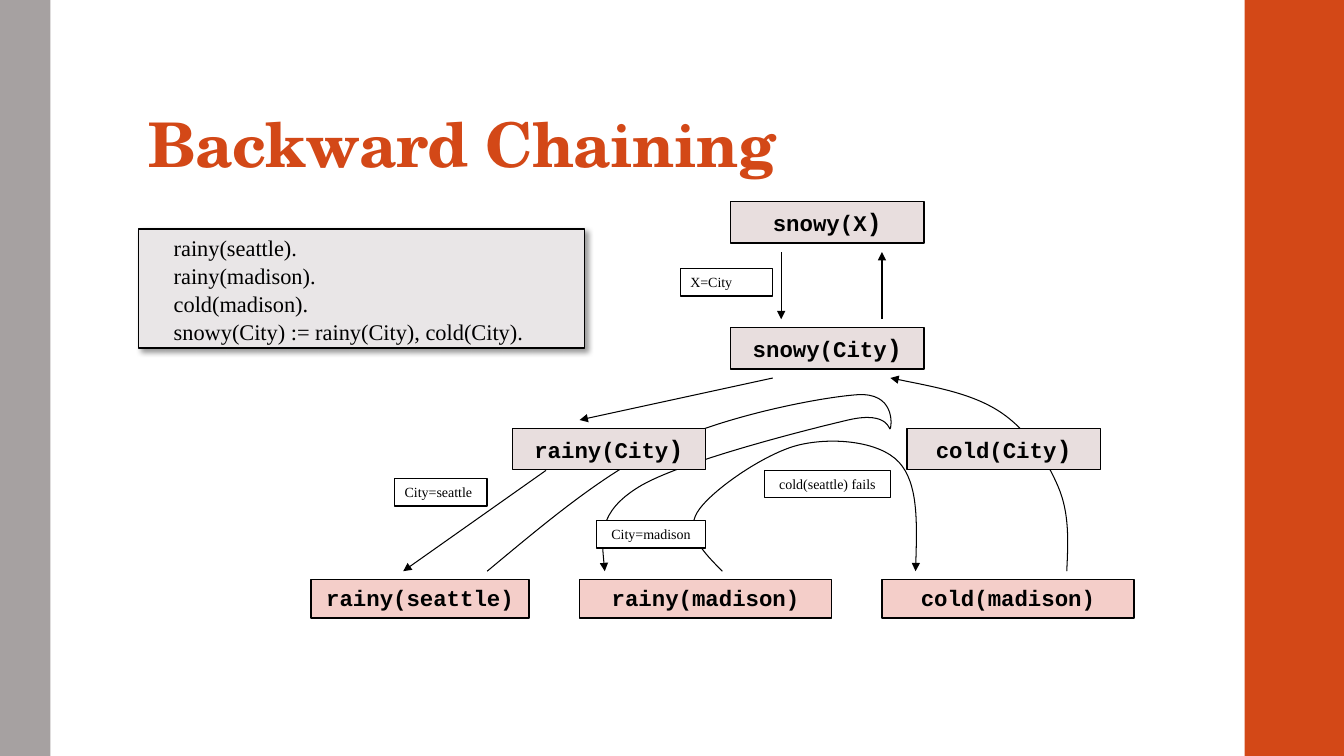
from dataclasses import dataclass

from lxml.etree import SubElement
from pptx import Presentation
from pptx.dml.color import RGBColor
from pptx.enum.shapes import MSO_CONNECTOR, MSO_SHAPE
from pptx.enum.text import MSO_ANCHOR, MSO_AUTO_SIZE, PP_ALIGN
from pptx.oxml.ns import qn
from pptx.util import Pt


@dataclass(frozen=True)
class Theme:
    accent: str = "D34817"
    side: str = "A6A1A1"
    ink: str = "000000"
    paper: str = "FFFFFF"
    goal: str = "E8DEDE"
    fact: str = "F4CEC9"
    rules: str = "E9E6E7"
    heading: str = "TeX Gyre Schola"
    serif: str = "Times New Roman"
    mono: str = "Courier New"
    title_size: int = 44
    paren_size: int = 18
    body_size: int = 16
    label_size: int = 10


theme = Theme()


def write(para, text, font, size, color=theme.ink, bold=False, align=PP_ALIGN.CENTER):
    para.alignment = align
    span = para.add_run()
    span.text = text
    span.font.name = font
    span.font.size = Pt(size)
    span.font.bold = bold
    span.font.color.rgb = RGBColor.from_string(color)
    return span


def add_box(left, top, width, height, fill, outlined=True):
    box = page.shapes.add_shape(
        MSO_SHAPE.RECTANGLE, Pt(left), Pt(top), Pt(width), Pt(height))
    box.shadow.inherit = False
    box.fill.solid()
    box.fill.fore_color.rgb = RGBColor.from_string(fill)
    if outlined:
        box.line.color.rgb = RGBColor.from_string(theme.ink)
        box.line.width = Pt(1)
    else:
        box.line.fill.background()
    box.text_frame.vertical_anchor = MSO_ANCHOR.TOP
    box.text_frame.word_wrap = True
    return box


deck = Presentation()
deck.slide_width, deck.slide_height = Pt(960), Pt(540)
page = deck.slides.add_slide(deck.slide_layouts[5])

# Side bands
add_box(889, 0, 71, 540, theme.accent, outlined=False)
add_box(0, 0, 36, 540, theme.side, outlined=False)

# Title
title = page.shapes.title
title.left, title.top, title.width, title.height = Pt(99), Pt(23), Pt(763), Pt(110)
frame = title.text_frame
frame.auto_size = MSO_AUTO_SIZE.NONE
frame.vertical_anchor = MSO_ANCHOR.BOTTOM
frame.margin_top = Pt(2)
para = frame.paragraphs[0]
para.line_spacing = 0.9
span = write(para, "Backward Chaining", theme.heading, theme.title_size,
             color=theme.accent, bold=True, align=PP_ALIGN.LEFT)
span.font._element.set("spc", "-50")

# Knowledge base with its drop shadow
rules = add_box(99, 163.5, 318.5, 85, theme.rules)
shadow = SubElement(
    rules._element.spPr.find(qn("a:effectLst")), qn("a:outerShdw"),
    blurRad=str(Pt(4)), dist=str(Pt(3)), dir="2700000", algn="tl", rotWithShape="0")
shade = SubElement(shadow, qn("a:srgbClr"), val=theme.ink)
SubElement(shade, qn("a:alpha"), val="40000")
clauses = ["rainy(seattle).", "rainy(madison).", "cold(madison).",
           "snowy(City) := rainy(City), cold(City)."]
for index, clause in enumerate(clauses):
    frame = rules.text_frame
    para = frame.add_paragraph() if index else frame.paragraphs[0]
    para.space_before = Pt(0.9)
    write(para, clause, theme.serif, theme.body_size, align=PP_ALIGN.LEFT)
    para._p.get_or_add_pPr().set("marL", str(Pt(18)))

# Straight arrows
arrows = []
for x1, y1, x2, y2 in [(558, 180, 558, 228), (630, 228, 630, 180),
                       (552, 270, 414, 300), (390, 336, 288, 408)]:
    arrow = page.shapes.add_connector(
        MSO_CONNECTOR.STRAIGHT, Pt(x1), Pt(y1), Pt(x2), Pt(y2))
    SubElement(arrow._element.spPr, qn("a:effectLst"))
    arrows.append(arrow)

# Curved arrows: a start, then three points for each Bezier segment
curves = [
    [(348, 408), (389, 374), (430, 339), (474, 318),
     (518, 297), (585, 284), (612, 282), (639, 280), (637, 303), (636, 306),
     (635, 309), (636, 293), (606, 300), (576, 307), (485, 330), (456, 348),
     (427, 366), (430, 387), (432, 408)],
    [(516, 408), (503, 395), (489, 381), (498, 366),
     (507, 351), (546, 324), (570, 318), (594, 312), (628, 315), (642, 330),
     (656, 345), (655, 377), (654, 408)],
    [(762, 408), (763, 387), (764, 367), (756, 348),
     (748, 329), (734, 307), (714, 294), (694, 281), (665, 276), (636, 270)],
]
for points in curves:
    start, *rest = [(Pt(x), Pt(y)) for x, y in points]
    builder = page.shapes.build_freeform(*start)
    builder.add_line_segments(rest, close=False)
    curve = builder.convert_to_shape()
    curve.shadow.inherit = False
    curve.fill.background()
    steps = list(curve._element.iter(qn("a:lnTo")))
    outline = steps[0].getparent()
    for first in range(0, len(steps), 3):
        bezier = SubElement(outline, qn("a:cubicBezTo"))
        for step in steps[first:first + 3]:
            bezier.append(step[0])
            outline.remove(step)
    arrows.append(curve)

for arrow in arrows:
    arrow.line.color.rgb = RGBColor.from_string(theme.ink)
    arrow.line.width = Pt(0.75)
    SubElement(arrow._element.spPr.find(qn("a:ln")), qn("a:tailEnd"), type="triangle")

# Goals, with a larger closing parenthesis
for left, top, goal in [(522, 144, "snowy(X"), (522, 234, "snowy(City"),
                        (366, 306, "rainy(City"), (648, 306, "cold(City")]:
    para = add_box(left, top, 138, 29.5, theme.goal).text_frame.paragraphs[0]
    write(para, goal, theme.mono, theme.body_size, bold=True)
    write(para, ")", theme.mono, theme.paren_size, bold=True)

# Facts
for left, width, fact in [(222, 156, "rainy(seattle)"), (414, 180, "rainy(madison)"),
                          (630, 180, "cold(madison)")]:
    para = add_box(left, 414, width, 27.5, theme.fact).text_frame.paragraphs[0]
    write(para, fact, theme.mono, theme.body_size, bold=True)

# Binding labels
for left, top, width, label, align in [
        (546, 336, 90, "cold(seattle) fails", PP_ALIGN.CENTER),
        (282, 342, 66, "City=seattle", PP_ALIGN.LEFT),
        (486, 192, 66, "X=City", PP_ALIGN.LEFT),
        (426, 372, 78, "City=madison", PP_ALIGN.CENTER)]:
    para = add_box(left, top, width, 19.5, theme.paper).text_frame.paragraphs[0]
    write(para, label, theme.serif, theme.label_size, align=align)

deck.save("out.pptx")
